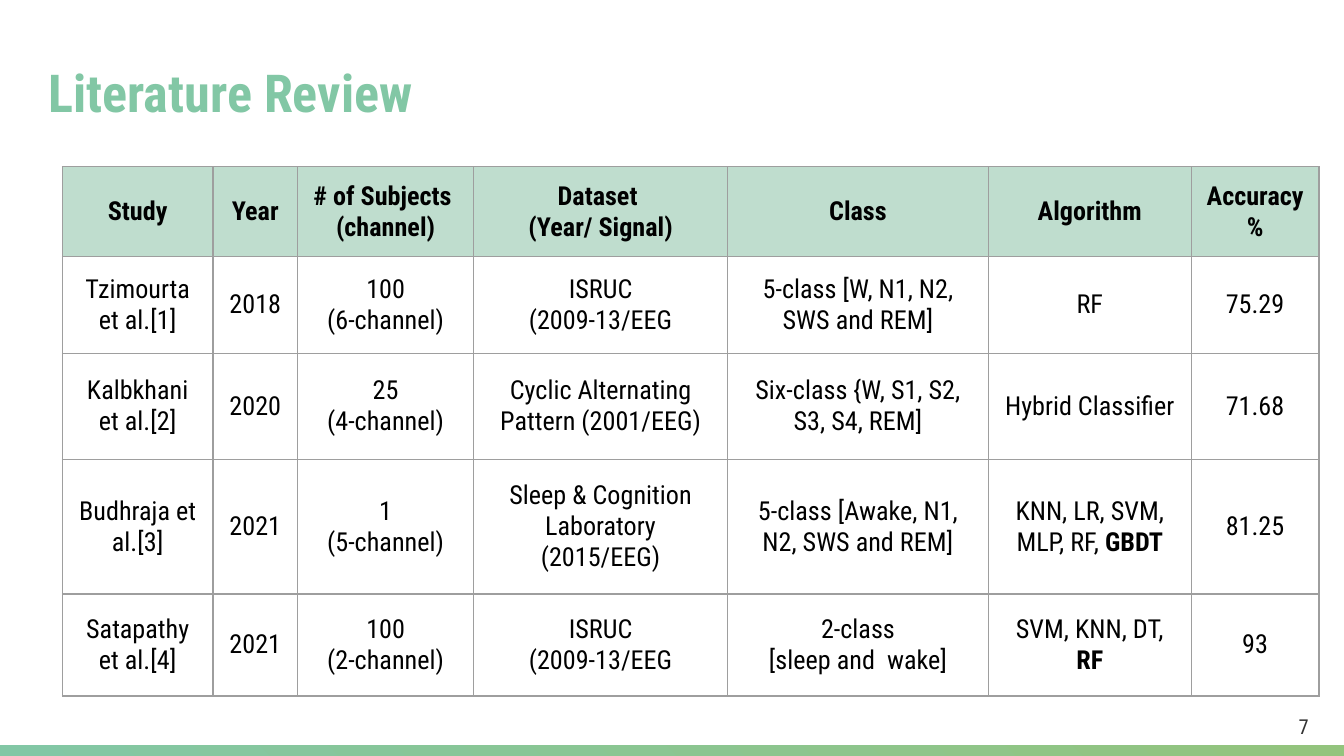
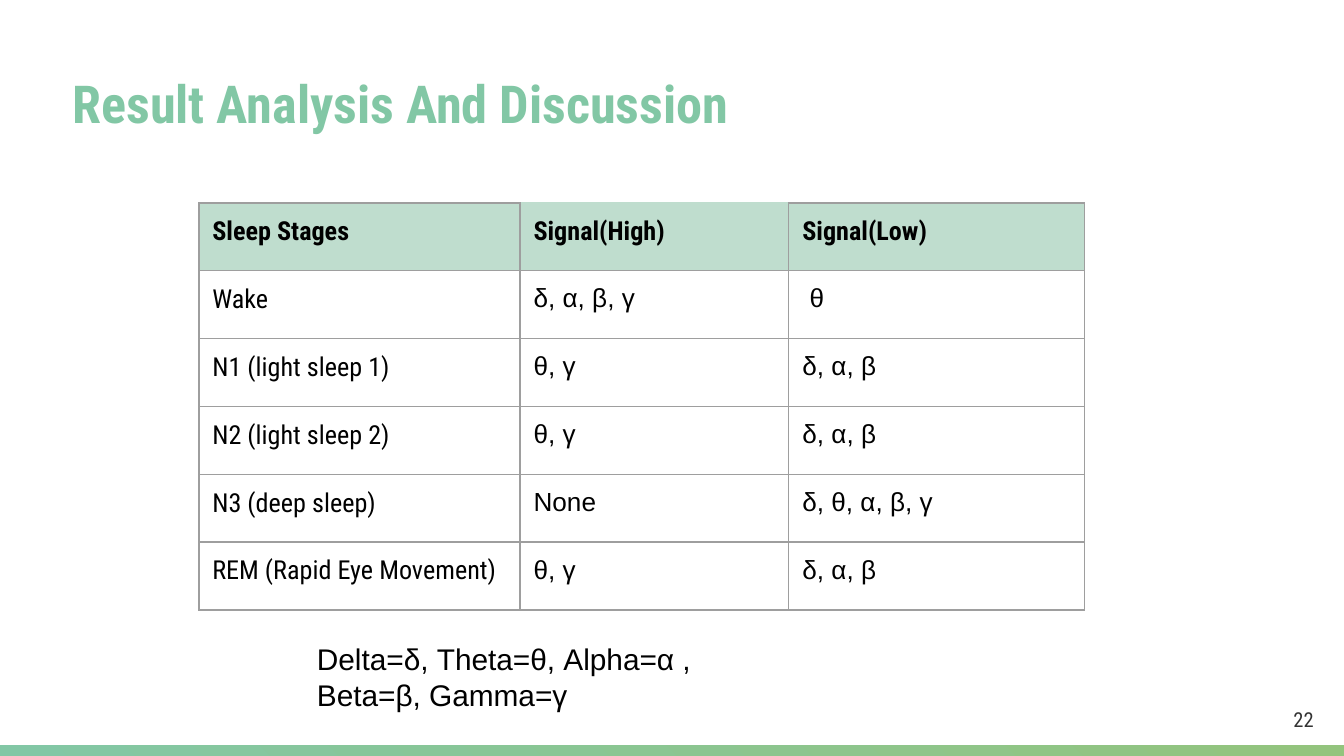
from dataclasses import dataclass

from pptx import Presentation
from pptx.dml.color import RGBColor
from pptx.enum.shapes import MSO_SHAPE
from pptx.enum.text import MSO_ANCHOR, MSO_AUTO_SIZE, PP_ALIGN
from pptx.oxml import parse_xml
from pptx.oxml.ns import nsdecls
from pptx.slide import Slide
from pptx.table import _Cell
from pptx.text.text import TextFrame
from pptx.util import Inches, Pt

LEFT, CENTER = PP_ALIGN.LEFT, PP_ALIGN.CENTER
TOP, MIDDLE = MSO_ANCHOR.TOP, MSO_ANCHOR.MIDDLE
GROW, FIXED = MSO_AUTO_SIZE.SHAPE_TO_FIT_TEXT, MSO_AUTO_SIZE.NONE
RECT = MSO_SHAPE.RECTANGLE

GREEN = RGBColor(0x82, 0xC7, 0xA5)
LIME = RGBColor(0x93, 0xC4, 0x7D)
MINT = RGBColor(0xBF, 0xDD, 0xCE)
GREY = RGBColor(0x9E, 0x9E, 0x9E)
DARK = RGBColor(0x33, 0x33, 0x33)
BLACK = RGBColor(0, 0, 0)

ROBOTO, ARIAL = "Roboto Condensed", "Arial"
WIDTH, HEIGHT = Inches(10), Inches(5.625)
COLS, ROWS = 100, 56.25
PAD = Inches(0.1)
EDGE = Pt(0.75)


@dataclass(frozen=True)
class Box:
    x: float
    y: float
    w: float
    h: float

    def place(self) -> tuple[int, int, int, int]:
        return across(self.x), down(self.y), across(self.w), down(self.h)


@dataclass(frozen=True)
class Grid:
    x: float
    y: float
    cols: tuple[float, ...]
    rows: tuple[float, ...]
    cells: tuple[tuple[str, ...], ...]
    faces: tuple[str, ...]
    align: PP_ALIGN = LEFT
    anchor: MSO_ANCHOR = TOP
    bare: tuple[int, int] | None = None


@dataclass(frozen=True)
class Page:
    title: str
    head: Box
    num: str
    foot: Box
    grid: Grid


PAGES = (
    Page(
        "Literature Review", Box(2.6, 3.5, 88.6, 6.6),
        "7", Box(94, 51.8, 6, 4.5),
        Grid(
            4.65, 12.4,
            (11.2, 6.3, 13.1, 18.9, 19.4, 15.1, 9.5),
            (6.7, 7.2, 7.9, 10, 7.6),
            (
                ("Study", "Year", "# of Subjects \n(channel)",
                 "Dataset \n(Year/ Signal)", "Class", "Algorithm", "Accuracy %"),
                ("Tzimourta et al.[1]", "2018", "100\n(6-channel)",
                 "ISRUC\n(2009-13/EEG", "5-class [W, N1, N2, SWS and REM]",
                 "RF", "75.29"),
                ("Kalbkhani et al.[2]", "2020", "25\n(4-channel)",
                 "Cyclic Alternating Pattern (2001/EEG)",
                 "Six-class {W, S1, S2, S3, S4, REM]",
                 "Hybrid Classifier", "71.68"),
                ("Budhraja et al.[3]", "2021", "1\n(5-channel)",
                 "Sleep & Cognition Laboratory\n(2015/EEG)",
                 "5-class [Awake, N1, N2, SWS and REM]",
                 "KNN, LR, SVM, MLP, RF, *GBDT*", "81.25"),
                ("Satapathy et al.[4]", "2021", "100\n(2-channel)",
                 "ISRUC\n(2009-13/EEG", "2-class\n[sleep and  wake]",
                 "SVM, KNN, DT, *RF*", "93"),
            ),
            (ROBOTO,) * 7, CENTER, MIDDLE,
        ),
    ),
    Page(
        "Result Analysis And Discussion", Box(4.4, 4.3, 86.8, 7.1),
        "22", Box(94, 51.6, 6, 3.9),
        Grid(
            14.8, 15.1,
            (23.9, 20, 22),
            (5.05,) * 6,
            (
                ("Sleep Stages", "Signal(High)", "Signal(Low)"),
                ("Wake", "δ, α, β, γ", " θ"),
                ("N1 (light sleep 1)", "θ, γ", "δ, α, β"),
                ("N2 (light sleep 2)", "θ, γ", "δ, α, β"),
                ("N3 (deep sleep)", "None", "δ, θ, α, β, γ"),
                ("REM (Rapid Eye Movement)", "θ, γ", "δ, α, β"),
            ),
            (ROBOTO, ARIAL, ARIAL), bare=(0, 1),
        ),
    ),
)
BAND = Box(0, 55.45, 100, 0.8)
KEY = Box(22.6, 46.7, 54.8, 7.4)
KEY_TEXT = "Delta=δ, Theta=θ, Alpha=α ,\nBeta=β, Gamma=γ"


def across(n: float) -> int:
    return round(WIDTH * n / COLS)


def down(n: float) -> int:
    return round(HEIGHT * n / ROWS)


def pad(area: TextFrame | _Cell, anchor: MSO_ANCHOR) -> None:
    area.margin_left = area.margin_right = PAD
    area.margin_top = area.margin_bottom = PAD
    area.vertical_anchor = anchor


def write(frame: TextFrame, text: str, *, size: float, face: str = ROBOTO,
          color: RGBColor = BLACK, bold: bool = False,
          align: PP_ALIGN = LEFT) -> None:
    for i, line in enumerate(text.split("\n")):
        para = frame.add_paragraph() if i else frame.paragraphs[0]
        para.alignment = align
        for j, part in enumerate(line.split("*")):
            if part:
                run = para.add_run()
                run.text = part
                font = run.font
                font.size, font.name = Pt(size), face
                font.bold = bold or j % 2 == 1
                font.color.rgb = color


def label(slide: Slide, box: Box, text: str, *, anchor: MSO_ANCHOR = TOP,
          fit: MSO_AUTO_SIZE = FIXED, **style) -> None:
    frame = slide.shapes.add_textbox(*box.place()).text_frame
    frame.word_wrap = True
    frame.auto_size = fit
    pad(frame, anchor)
    write(frame, text, **style)


def band(slide: Slide) -> None:
    bar = slide.shapes.add_shape(RECT, *BAND.place())
    bar.shadow.inherit = False
    bar.line.fill.background()
    bar.fill.gradient()
    bar.fill.gradient_angle = 45
    for stop, color in zip(bar.fill.gradient_stops, (GREEN, LIME)):
        stop.color.rgb = color


def edge(cell: _Cell, side: str, color: RGBColor) -> None:
    cell._tc.get_or_add_tcPr().append(parse_xml(
        f'<a:ln{side} {nsdecls("a")} w="{EDGE}"><a:solidFill>'
        f'<a:srgbClr val="{color}"/></a:solidFill></a:ln{side}>'))


def draw(slide: Slide, grid: Grid) -> None:
    area = Box(grid.x, grid.y, sum(grid.cols), sum(grid.rows))
    table = slide.shapes.add_table(
        len(grid.rows), len(grid.cols), *area.place()).table
    table.first_row = table.horz_banding = False
    for col, w in zip(table.columns, grid.cols):
        col.width = across(w)
    for row, h in zip(table.rows, grid.rows):
        row.height = down(h)
    for r, line in enumerate(grid.cells):
        for c, text in enumerate(line):
            cell = table.cell(r, c)
            head = r == 0
            pad(cell, grid.anchor)
            write(cell.text_frame, text, size=14, bold=head, align=grid.align,
                  face=ROBOTO if head else grid.faces[c])
            for side in "LRTB":
                bare = side == "T" and (r, c) == grid.bare
                edge(cell, side, MINT if bare else GREY)
            if head:
                cell.fill.solid()
                cell.fill.fore_color.rgb = MINT
            else:
                cell.fill.background()


def main() -> None:
    deck = Presentation()
    deck.slide_width, deck.slide_height = WIDTH, HEIGHT
    for page in PAGES:
        slide = deck.slides.add_slide(deck.slide_layouts[6])
        band(slide)
        draw(slide, page.grid)
        label(slide, page.head, page.title, size=28, color=GREEN, bold=True)
        label(slide, page.foot, page.num, size=11, color=DARK,
              align=CENTER, anchor=MIDDLE)
    label(slide, KEY, KEY_TEXT, size=16, face=ARIAL, fit=GROW)
    deck.save("out.pptx")


if __name__ == "__main__":
    main()
